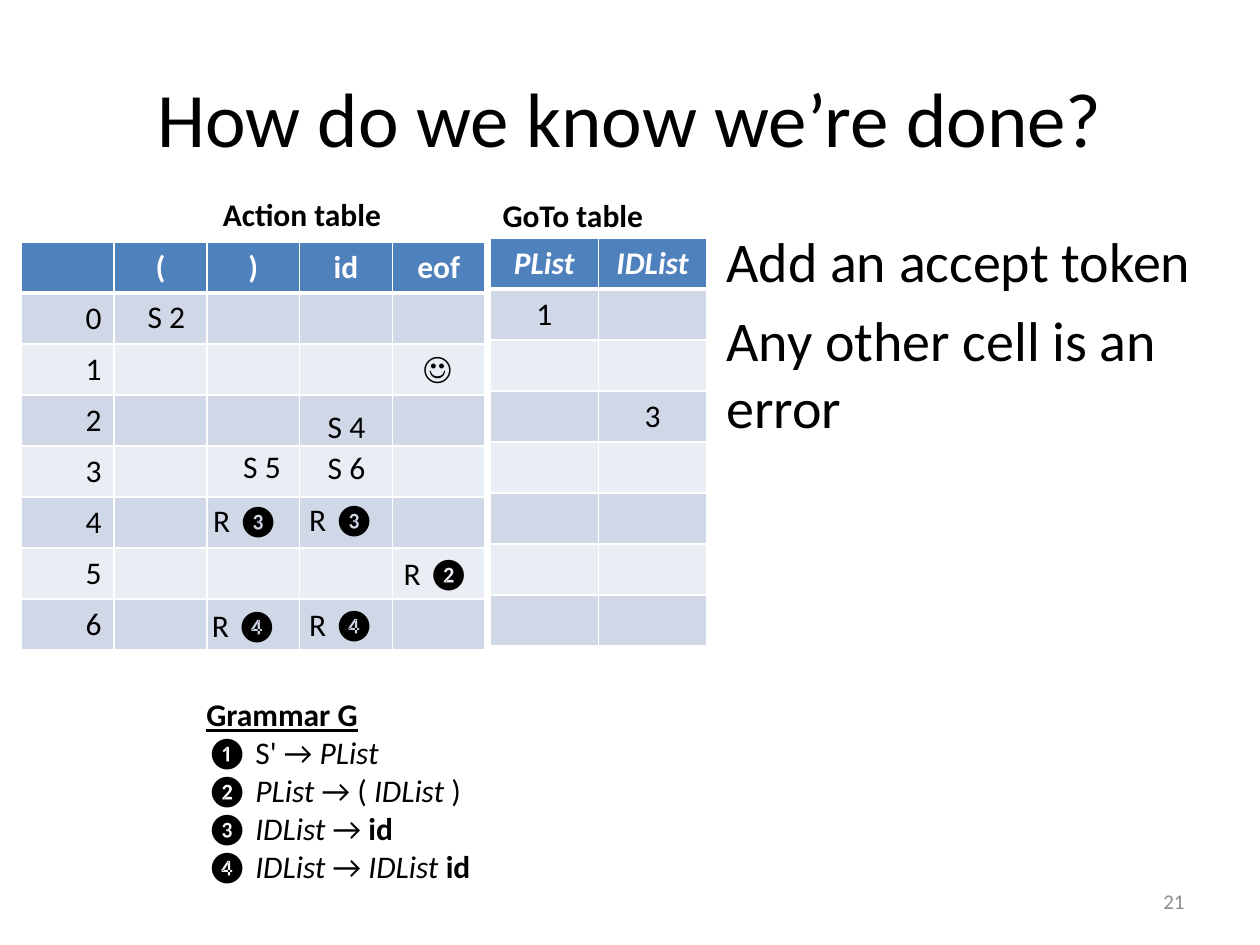
from lxml import etree
from pptx import Presentation
from pptx.dml.color import RGBColor
from pptx.enum.text import MSO_ANCHOR, MSO_AUTO_SIZE, PP_ALIGN
from pptx.oxml.ns import qn
from pptx.util import Pt

LEFT, CENTER, RIGHT = PP_ALIGN.LEFT, PP_ALIGN.CENTER, PP_ALIGN.RIGHT
TOP, MIDDLE = MSO_ANCHOR.TOP, MSO_ANCHOR.MIDDLE
FIT_SHAPE = MSO_AUTO_SIZE.SHAPE_TO_FIT_TEXT
FONT = "Calibri"
COLORS = {
    "text": "000000",
    "white": "FFFFFF",
    "header": "4F81BD",
    "odd": "D0D8E8",
    "even": "E9EDF4",
    "number": "8C8C8C",
}
ROW_H = 29.16
LABEL_H = 29

# Hand-placed actions: text, offset from the action table, width
ACTIONS = [
    ("S 2", 64.8, 28.1, 36),
    ("S 4", 167.8, 90.7, 36),
    ("S 6", 167.8, 114.5, 36),
    ("S 5", 119.5, 113.8, 36),
    ("R ❸", 102.2, 144.7, 52.6),
    ("R ❸", 157, 144, 52.6),
    ("R ❷", 211, 175, 52.6),
    ("R ❹", 101.5, 204.5, 52.6),
    ("R ❹", 157, 203.8, 52.6),
    ("☺", 222.5, 56.9, 29.5),
]

# Each run is (text, style), with b, i and u as style letters
GRAMMAR = [
    [("Grammar G", "bu")],
    [("❶ S' → ", ""), ("PList", "i")],
    [("❷ ", ""), ("PList ", "i"), ("→ ( ", ""), ("IDList", "i"), (" )", "")],
    [("❸ ", ""), ("IDList", "i"), (" → ", ""), ("id", "b")],
    [("❹ ", ""), ("IDList", "i"), (" → ", ""), ("IDList ", "i"), ("id", "b")],
]


def add_run(p, text, style="", size=18, color="text"):
    r = p.add_run()
    r.text = text
    font = r.font
    font.name, font.size = FONT, Pt(size)
    font.color.rgb = RGBColor.from_string(COLORS[color])
    font.bold, font.italic, font.underline = (c in style for c in "biu")


def add_text(s, box, paragraphs, size=18, color="text", align=LEFT,
             anchor=TOP, wrap=True, fit=False, space=0):
    """Add a text box; each paragraph is a list of (text, style) runs."""
    tf = s.shapes.add_textbox(*map(Pt, box)).text_frame
    tf.word_wrap, tf.vertical_anchor = wrap, anchor
    if fit:
        tf.auto_size = FIT_SHAPE
    for i, runs in enumerate(paragraphs):
        p = tf.paragraphs[0] if i == 0 else tf.add_paragraph()
        p.alignment, p.space_before = align, Pt(space)
        for text, style in runs:
            add_run(p, text, style, size, color)


def add_label(s, box, text, style="", align=CENTER):
    add_text(s, box, [[(text, style)]], align=align, wrap=False, fit=True)


def set_borders(cell, bottom):
    tcPr = cell._tc.get_or_add_tcPr()
    for side in "LRTB":
        width = Pt(bottom if side == "B" else 1)
        ln = etree.SubElement(tcPr, qn(f"a:ln{side}"), w=str(width))
        fill = etree.SubElement(ln, qn("a:solidFill"))
        etree.SubElement(fill, qn("a:srgbClr"), val=COLORS["white"])


def add_grid(s, x, y, w, rows, header_style, first_align):
    """Add a banded table with equal columns under a header row."""
    n = len(rows[0])
    table = s.shapes.add_table(len(rows), n, Pt(x), Pt(y), Pt(w),
                               Pt(ROW_H * len(rows))).table
    for col in table.columns:
        col.width = Pt(w / n)
    for i, row in enumerate(rows):
        table.rows[i].height = Pt(ROW_H)
        band = "header" if i == 0 else "odd" if i % 2 else "even"
        for j, text in enumerate(row):
            cell = table.cell(i, j)
            set_borders(cell, 3 if i == 0 else 1)
            cell.fill.solid()
            cell.fill.fore_color.rgb = RGBColor.from_string(COLORS[band])
            if text:
                p = cell.text_frame.paragraphs[0]
                p.alignment = first_align if i and j == 0 else CENTER
                add_run(p, text, "" if i else header_style,
                        color="text" if i else "white")


def action_table(s, x, y, w):
    add_label(s, (x + 108, y - 30.2, 105.8, LABEL_H), "Action table", "b", LEFT)
    rows = [["", "(", ")", "id", "eof"]]
    rows += [[str(state), "", "", "", ""] for state in range(7)]
    add_grid(s, x, y, w, rows, "b", RIGHT)
    for text, dx, dy, width in ACTIONS:
        add_label(s, (x + dx, y + dy, width, LABEL_H), text)


def goto_table(s, x, y, w):
    add_label(s, (x, y - 27.4, 95.8, LABEL_H), "GoTo table", "b", LEFT)
    targets = {0: ["1", ""], 2: ["", "3"]}
    rows = [["PList", "IDList"]]
    rows += [targets.get(state, ["", ""]) for state in range(7)]
    add_grid(s, x, y, w, rows, "bi", CENTER)


def main():
    prs = Presentation()
    prs.slide_width, prs.slide_height = Pt(720), Pt(540)
    s = prs.slides.add_slide(prs.slide_layouts[6])
    add_text(s, (36, 21.6, 648, 90), [[("How do we know we’re done?", "")]],
             size=44, align=CENTER, anchor=MIDDLE)
    action_table(s, 12.24, 138.24, 265)
    goto_table(s, 280.1, 136.1, 123.8)
    add_text(s, (408, 126, 294, 378),
             [[("Add an accept token", "")], [("Any other cell is an error", "")]],
             size=32, space=6.4)
    add_text(s, (110.9, 393.8, 201.6, 116.6), GRAMMAR, fit=True)
    add_text(s, (516, 500.5, 168, 28.75), [[("21", "")]], size=12,
             color="number", align=RIGHT, anchor=MIDDLE)
    prs.save("out.pptx")


if __name__ == "__main__":
    main()
